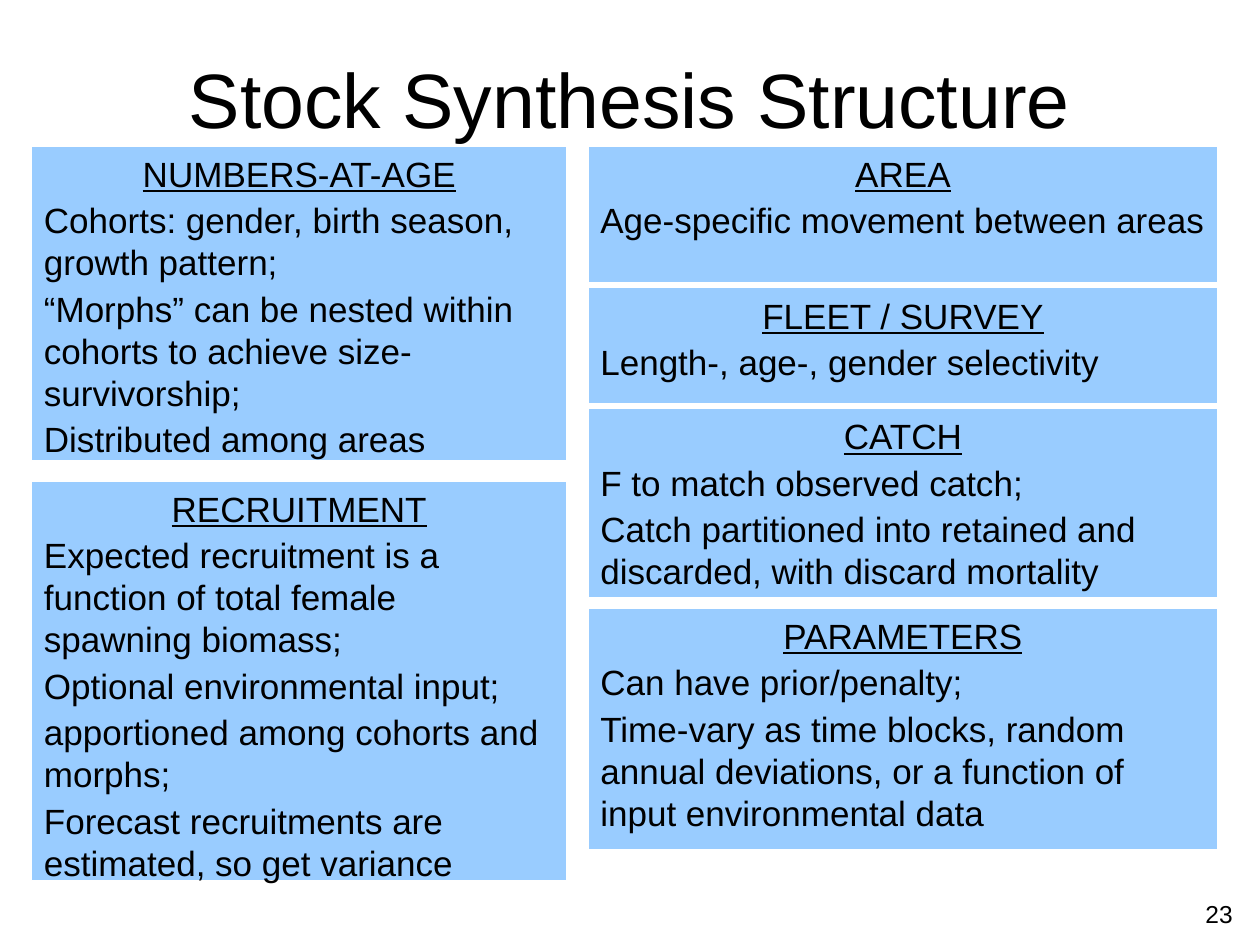
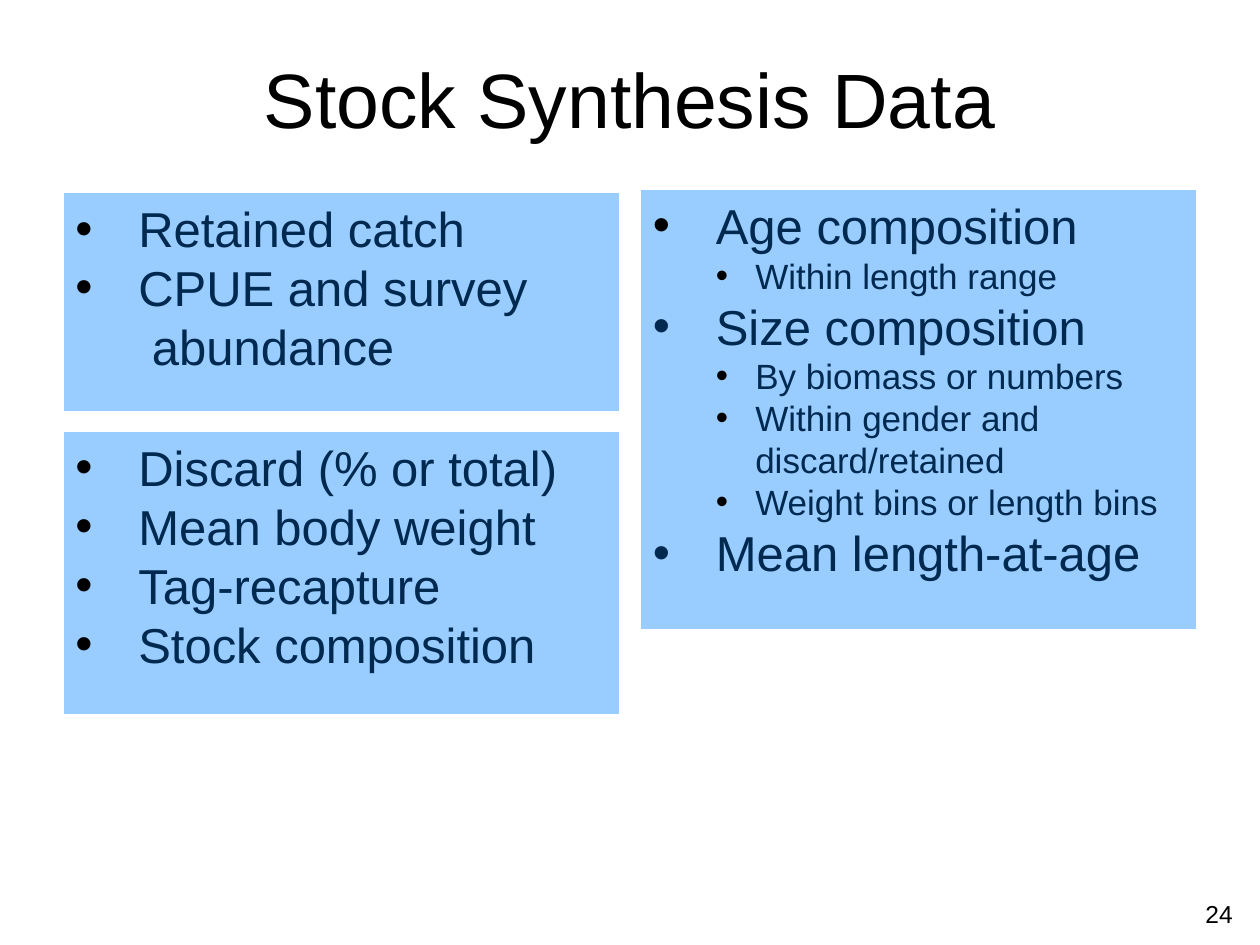
from lxml import etree
from pptx import Presentation
from pptx.dml.color import RGBColor
from pptx.enum.shapes import MSO_SHAPE
from pptx.enum.text import MSO_ANCHOR, MSO_AUTO_SIZE, PP_ALIGN
from pptx.oxml.ns import qn
from pptx.util import Pt

RECTANGLE = MSO_SHAPE.RECTANGLE
TOP, MIDDLE = MSO_ANCHOR.TOP, MSO_ANCHOR.MIDDLE
NO_AUTOFIT = MSO_AUTO_SIZE.NONE
LEFT, CENTER, RIGHT = PP_ALIGN.LEFT, PP_ALIGN.CENTER, PP_ALIGN.RIGHT

BLACK = RGBColor(0x00, 0x00, 0x00)
WHITE = RGBColor(0xFF, 0xFF, 0xFF)
NAVY = RGBColor(0x00, 0x29, 0x50)
SKY = RGBColor(0x99, 0xCC, 0xFF)

FONT = "Arial"
TITLE_SIZE, TOPIC_SIZE, DETAIL_SIZE, NUMBER_SIZE = 44, 28, 20, 14
TITLE_ONLY = 5
LEVEL_INDENTS = [(36, -36), (58.5, -22.5)]
LEVEL_SIZES = [TOPIC_SIZE, DETAIL_SIZE]

STRUCTURE_COLUMNS = [
    (18, 306, [
        (83.5, 180, "NUMBERS-AT-AGE", [
            "Cohorts: gender, birth season, growth pattern;",
            "“Morphs” can be nested within cohorts to achieve size-survivorship;",
            "Distributed among areas"]),
        (275, 228, "RECRUITMENT", [
            "Expected recruitment is a function of total female spawning biomass;",
            "Optional environmental input;",
            "apportioned among cohorts and morphs;",
            "Forecast recruitments are estimated, so get variance"]),
    ]),
    (336, 360, [
        (83.5, 78, "AREA", ["Age-specific movement between areas"]),
        (164.5, 66, "FLEET / SURVEY", ["Length-, age-, gender selectivity"]),
        (233.5, 108, "CATCH", [
            "F to match observed catch;",
            "Catch partitioned into retained and discarded, with discard mortality"]),
        (347.5, 138, "PARAMETERS", [
            "Can have prior/penalty;",
            "Time-vary as time blocks, random annual deviations, "
            "or a function of input environmental data"]),
    ]),
]

DATA_WIDTH = 318
DATA_PANELS = [
    (36, 110, 125, [
        (0, "Retained catch", BLACK),
        (0, "CPUE and survey\v abundance", BLACK)]),
    (36, 246.5, 162, [
        (0, "Discard (% or total)", BLACK),
        (0, "Mean body weight", BLACK),
        (0, "Tag-recapture", BLACK),
        (0, "Stock composition", BLACK)]),
    (366, 108, 252, [
        (0, "Age composition", BLACK),
        (1, "Within length range", BLACK),
        (0, "Size composition", NAVY),
        (1, "By biomass or numbers", BLACK),
        (1, "Within gender and discard/retained", BLACK),
        (1, "Weight bins or length bins", BLACK),
        (0, "Mean length-at-age", NAVY)]),
]


def style_paragraph(paragraph, size, color=BLACK, alignment=LEFT):
    """Apply the shared font and alignment to a paragraph."""
    paragraph.alignment = alignment
    font = paragraph.font
    font.name, font.size = FONT, Pt(size)
    font.color.rgb = color


def add_bullet(paragraph, level, color):
    """Give a paragraph a hanging bullet for its level."""
    paragraph.level = level
    margin, indent = LEVEL_INDENTS[level]
    properties = paragraph._p.get_or_add_pPr()
    properties.set("marL", str(Pt(margin)))
    properties.set("indent", str(Pt(indent)))
    bullet_color = etree.SubElement(properties, qn("a:buClr"))
    etree.SubElement(bullet_color, qn("a:srgbClr"), val=str(color))
    etree.SubElement(properties, qn("a:buFont"), typeface=FONT)
    etree.SubElement(properties, qn("a:buChar"), char="•")


def add_paragraphs(text_frame, texts):
    """Fill a text frame with one paragraph per text and return them."""
    for index, text in enumerate(texts):
        paragraph = text_frame.add_paragraph() if index else text_frame.paragraphs[0]
        paragraph.text = text
    return text_frame.paragraphs


def add_panel(slide, left, top, width, height, texts):
    """Add a blue panel and return its paragraphs."""
    panel = slide.shapes.add_shape(RECTANGLE, Pt(left), Pt(top), Pt(width), Pt(height))
    panel.shadow.inherit = False
    panel.fill.solid()
    panel.fill.fore_color.rgb = SKY
    panel.line.color.rgb = WHITE
    panel.line.width = Pt(0.75)
    panel.text_frame.vertical_anchor = TOP
    panel.text_frame.word_wrap = True
    return add_paragraphs(panel.text_frame, texts)


def add_headed_panel(slide, left, top, width, height, heading, details):
    """Add a panel with an underlined heading above its details."""
    paragraphs = add_panel(slide, left, top, width, height, [heading, *details])
    for paragraph in paragraphs:
        style_paragraph(paragraph, DETAIL_SIZE)
        paragraph.space_before = Pt(2.5)
    paragraphs[0].alignment = CENTER
    paragraphs[0].font.underline = True


def add_bullet_panel(slide, left, top, height, items):
    """Add a panel that holds a bulleted list of two levels."""
    texts = [text for _, text, _ in items]
    paragraphs = add_panel(slide, left, top, DATA_WIDTH, height, texts)
    for paragraph, (level, _, bullet_color) in zip(paragraphs, items):
        add_bullet(paragraph, level, bullet_color)
        style_paragraph(paragraph, LEVEL_SIZES[level], NAVY)


def add_titled_slide(presentation, title_text, number):
    """Add a slide with its title and slide number."""
    slide = presentation.slides.add_slide(presentation.slide_layouts[TITLE_ONLY])
    title = slide.shapes.title
    title.left, title.top, title.width, title.height = Pt(36), Pt(21.5), Pt(648), Pt(68.5)
    title.text_frame.text = title_text
    title.text_frame.vertical_anchor = MIDDLE
    title.text_frame.auto_size = NO_AUTOFIT
    style_paragraph(title.text_frame.paragraphs[0], TITLE_SIZE, alignment=CENTER)

    number_box = slide.shapes.add_textbox(Pt(586), Pt(510), Pt(125.5), Pt(25))
    number_box.text_frame.word_wrap = True
    number_box.text_frame.text = str(number)
    style_paragraph(number_box.text_frame.paragraphs[0], NUMBER_SIZE, alignment=RIGHT)
    return slide


def main():
    """Build both slides and save the presentation."""
    presentation = Presentation()
    presentation.slide_width, presentation.slide_height = Pt(720), Pt(540)

    structure = add_titled_slide(presentation, "Stock Synthesis Structure", 23)
    for left, width, panels in STRUCTURE_COLUMNS:
        for top, height, heading, details in panels:
            add_headed_panel(structure, left, top, width, height, heading, details)

    data = add_titled_slide(presentation, "Stock Synthesis Data", 24)
    for left, top, height, items in DATA_PANELS:
        add_bullet_panel(data, left, top, height, items)

    presentation.save("out.pptx")


if __name__ == "__main__":
    main()
